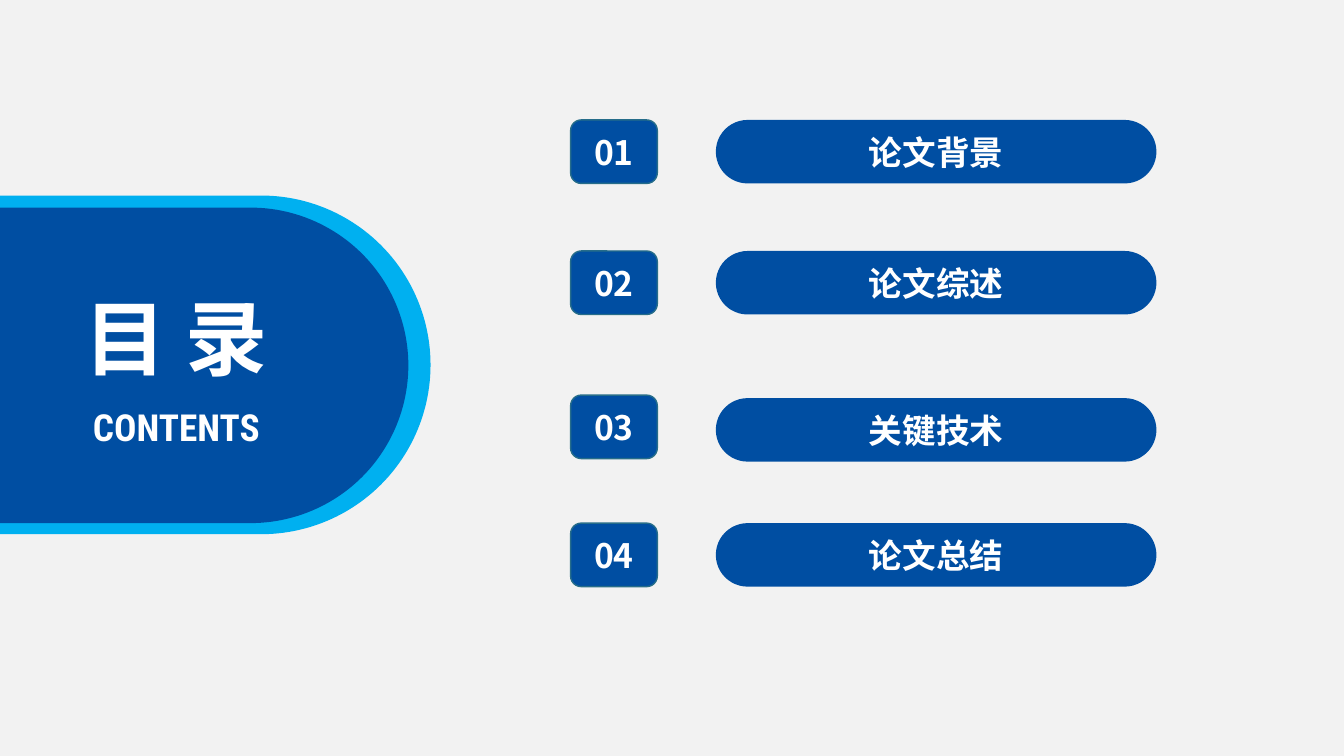
from lxml.etree import SubElement
from pptx import Presentation
from pptx.dml.color import RGBColor
from pptx.enum.shapes import MSO_SHAPE as Preset
from pptx.enum.text import MSO_ANCHOR as Anchor, MSO_AUTO_SIZE as AutoSize, PP_ALIGN as Align
from pptx.oxml.ns import qn
from pptx.util import Inches, Pt

BLUE, SKY, TEAL = "004EA2", "00B0F0", "266D8A"
WHITE, PALE = "FFFFFF", "F2F2F2"
CJK, LATIN = "Noto Sans CJK SC", "Roboto Condensed"

CHAPTERS = [
    ("论文背景", 1.19, 1.19),
    ("论文综述", 2.49, 2.49),
    ("关键技术", 3.92, 3.95),
    ("论文总结", 5.19, 5.19),
]


def paint(fill, color):
    fill.solid()
    fill.fore_color.rgb = RGBColor.from_string(color)


def apply_format(target, values):
    for attribute, value in values.items():
        setattr(target, attribute, value)


def write(frame, words, size, font_name=CJK):
    paragraph = frame.paragraphs[0]
    paragraph.alignment = Align.CENTER
    run = paragraph.add_run()
    run.text = words
    paint(run.font.fill, WHITE)
    apply_format(run.font, {"size": Pt(size), "bold": True, "name": font_name})
    SubElement(run._r.get_or_add_rPr(), qn("a:ea"), typeface=font_name)


def add_rounded(slide, box, color, corner=0.5, outline=None, label=None):
    rounded = slide.shapes.add_shape(Preset.ROUNDED_RECTANGLE, *map(Inches, box))
    rounded.shadow.inherit = False
    rounded.adjustments[0] = corner
    paint(rounded.fill, color)
    if outline:
        paint(rounded.line.fill, outline)
        rounded.line.width = Pt(1)
    else:
        rounded.line.fill.background()
    if label:
        rounded.text_frame.vertical_anchor = Anchor.MIDDLE
        write(rounded.text_frame, label, 24)


def add_heading(slide, box, words, size, font_name):
    heading = slide.shapes.add_textbox(*map(Inches, box)).text_frame
    apply_format(heading, {"word_wrap": False, "auto_size": AutoSize.SHAPE_TO_FIT_TEXT})
    write(heading, words, size, font_name)


def add_chapter(slide, number, title, badge_top, title_top):
    add_rounded(slide, (5.66, badge_top, 0.86, 0.63), BLUE, 0.1667, TEAL, f"{number:02}")
    add_rounded(slide, (7.1, title_top, 4.37, 0.63), BLUE, label=title)


def main():
    deck = Presentation()
    apply_format(deck, {"slide_width": Inches(13.33), "slide_height": Inches(7.5)})
    slide = deck.slides.add_slide(deck.slide_layouts[6])
    paint(slide.background.fill, PALE)

    add_rounded(slide, (-1.91, 1.94, 6.18, 3.36), SKY)
    add_rounded(slide, (-1.7, 2.06, 5.75, 3.13), BLUE)
    add_heading(slide, (0.7, 2.8, 2.09, 1.09), "目 录", 58.6, CJK)
    add_heading(slide, (0.62, 3.96, 2.26, 0.55), "CONTENTS", 26.6, LATIN)

    for number, chapter in enumerate(CHAPTERS, start=1):
        add_chapter(slide, number, *chapter)

    deck.save("out.pptx")


if __name__ == "__main__":
    main()
